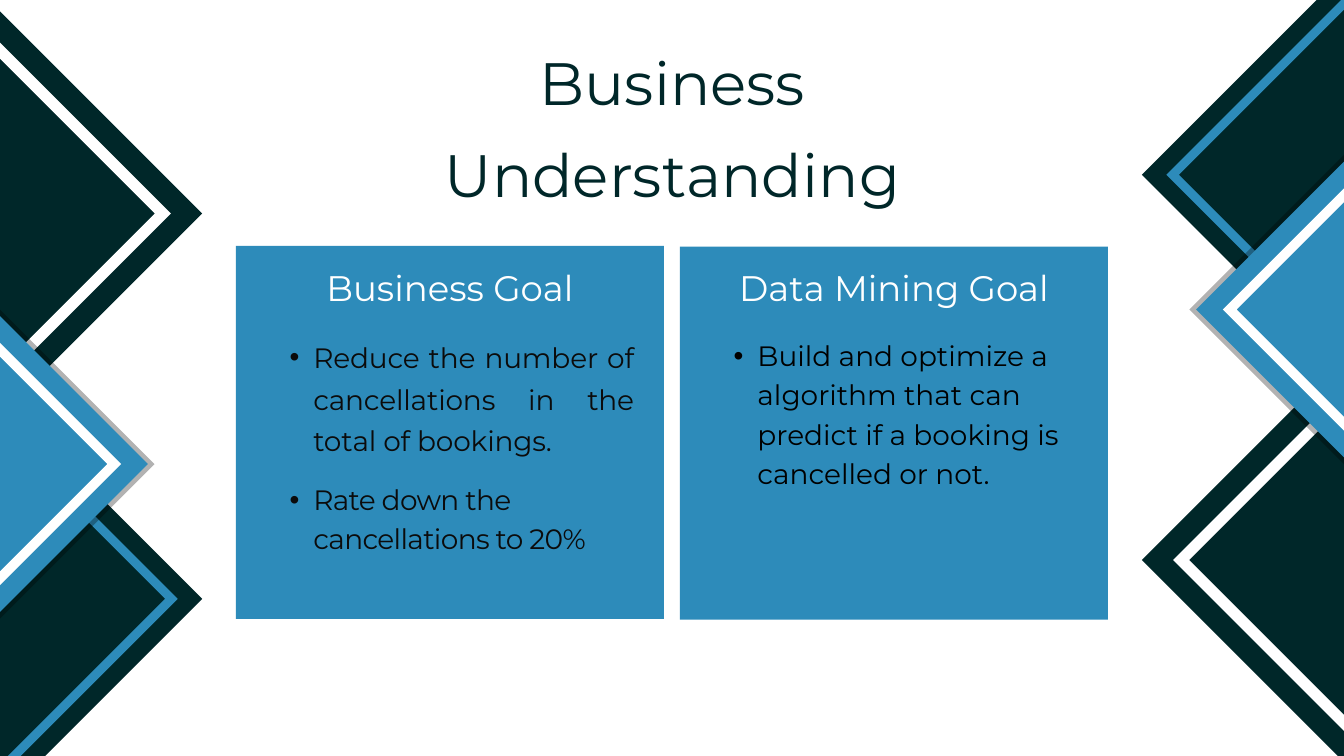
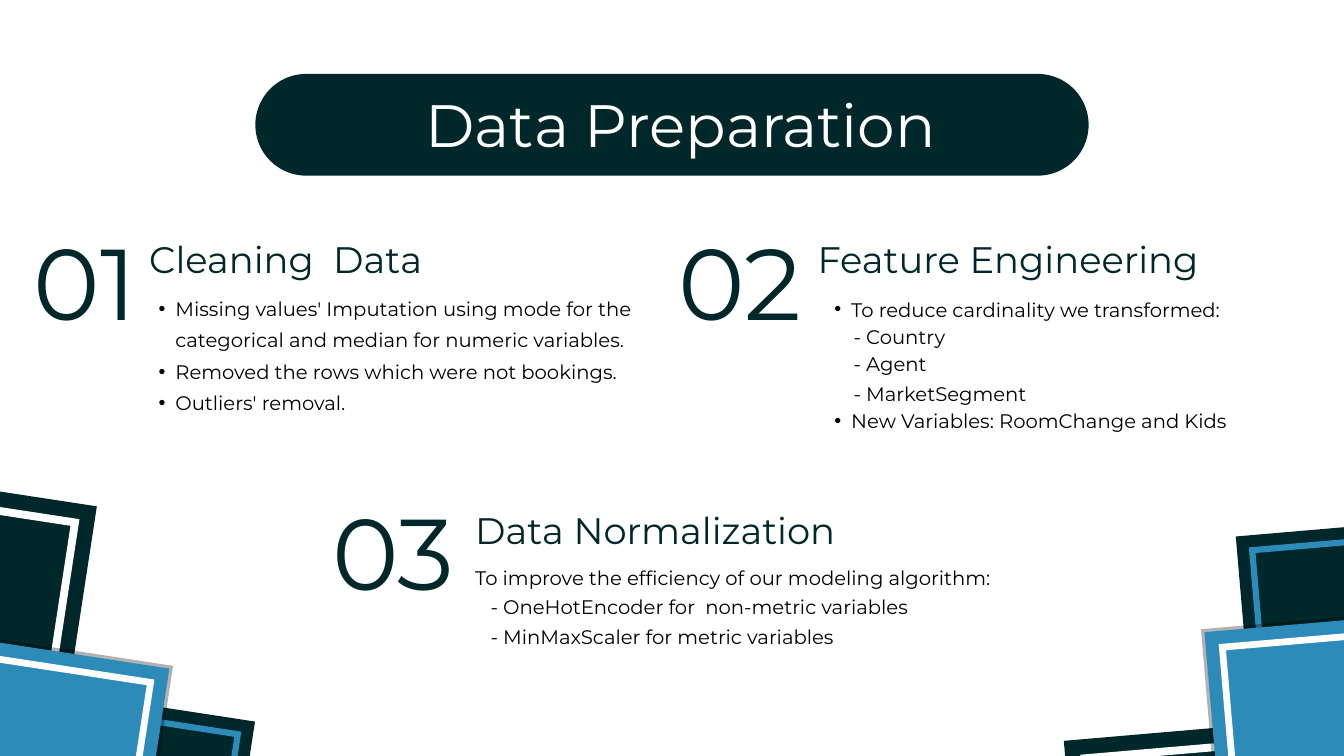
from dataclasses import dataclass
from math import cos, radians, sin

from lxml.etree import SubElement
from pptx import Presentation
from pptx.dml.color import RGBColor
from pptx.enum.shapes import MSO_SHAPE as SHAPE
from pptx.enum.text import MSO_ANCHOR, PP_ALIGN as ALIGN
from pptx.oxml.ns import qn
from pptx.util import Pt


@dataclass(frozen=True)
class Theme:
    """Colours, font and type sizes shared by the slides."""
    dark: str = "002729"
    blue: str = "2D8BBA"
    white: str = "FFFFFF"
    black: str = "000000"
    ink: str = "0B0B0B"
    font: str = "Montserrat"
    title: float = 64
    number: float = 107.7
    section: float = 39.5
    card_title: float = 38
    card_body: float = 30
    body: float = 21


@dataclass(frozen=True)
class Para:
    """One paragraph: its text, line height and layout."""
    text: str
    leading: float
    margin: float = 0
    hang: float = 0
    before: float = 0
    tracking: float = 0
    align: ALIGN = ALIGN.LEFT


T = Theme()
FRAME_RATIO = 0.891
FRAME_WIDTH = 0.0315


def add_shape(slide, kind, x, y, w, h, fill, rotation=0, alpha=None):
    """Add a flat filled shape without outline or shadow."""
    sp = slide.shapes.add_shape(kind, Pt(x), Pt(y), Pt(w), Pt(h))
    sp.shadow.inherit = False
    sp.line.fill.background()
    sp.fill.solid()
    sp.fill.fore_color.rgb = RGBColor.from_string(fill)
    sp.rotation = rotation % 360
    if alpha is not None:
        clr = sp._element.spPr.find(qn("a:solidFill"))[0]
        SubElement(clr, qn("a:alpha"), val=str(alpha * 1000))
    return sp


def add_text(slide, x, y, w, h, paras, size, color):
    """Add a text box without insets; a hanging paragraph gets a bullet."""
    tf = slide.shapes.add_textbox(Pt(x), Pt(y), Pt(w), Pt(h)).text_frame
    tf.word_wrap = True
    tf.vertical_anchor = MSO_ANCHOR.TOP
    tf.margin_left = tf.margin_right = tf.margin_top = tf.margin_bottom = 0
    for i, para in enumerate(paras):
        p = tf.add_paragraph() if i else tf.paragraphs[0]
        p.alignment = para.align
        p.line_spacing = Pt(para.leading)
        p.space_before = Pt(para.before)
        pPr = p._p.get_or_add_pPr()
        pPr.set("marL", str(Pt(para.margin)))
        pPr.set("indent", str(Pt(-para.hang)))
        if para.hang:
            p.level = 1
            SubElement(pPr, qn("a:buFont"), typeface="Arial")
            SubElement(pPr, qn("a:buChar"), char="•")
        r = p.add_run()
        r.text = para.text
        r.font.name = T.font
        r.font.size = Pt(size)
        r.font.color.rgb = RGBColor.from_string(color)
        if para.tracking:
            r._r.get_or_add_rPr().set("spc", str(round(para.tracking * 100)))


def tile_cluster(slide, cx, cy, angle, scale=1):
    """Draw three overlapping framed squares, turned about the blue one."""
    c, s = cos(radians(angle)), sin(radians(angle))

    def square(kind, dx, dy, side, fill, turn=0, alpha=None):
        """Place one square at an offset in the cluster's own axes."""
        side *= scale
        x = cx + scale * (dx * c - dy * s) - side / 2
        y = cy + scale * (dx * s + dy * c) - side / 2
        return add_shape(slide, kind, x, y, side, side, fill, angle + turn, alpha)

    def framed(dx, dy, side, fill, frame):
        """Place a square with a thin inner frame."""
        square(SHAPE.RECTANGLE, dx, dy, side, fill)
        sp = square(SHAPE.FRAME, dx, dy, side * FRAME_RATIO, frame, 90)
        sp.adjustments[0] = FRAME_WIDTH

    framed(-199.5, 180.2, 434, T.dark, T.white)
    framed(45.4, -158.8, 340, T.dark, T.blue)
    square(SHAPE.RECTANGLE, -5.1, -5.1, 371, T.black, alpha=30)
    framed(0, 0, 371, T.blue, T.white)


def goal_card(slide, x, y, w, h, title, paras, color):
    """Draw a blue card with a centred title and a bulleted body."""
    pad = 32
    add_shape(slide, SHAPE.RECTANGLE, x, y, w, h, T.blue)
    add_text(slide, x + pad, y + 23, w - 2 * pad, 47,
             [Para(title, 43.7, align=ALIGN.CENTER)], T.card_title, T.white)
    add_text(slide, x + pad, y + 92.5, w - 2 * pad, 237, paras, T.card_body, color)


def numbered_section(slide, x, y, w, number, number_w, title, paras,
                     gap=17, body_dx=0, body_dy=96):
    """Draw a big number with a heading and body to its right."""
    left = x + number_w + gap
    width = w - number_w - gap
    add_text(slide, x, y, number_w, 151,
             [Para(number, 150.8, align=ALIGN.RIGHT)], T.number, T.dark)
    add_text(slide, left, y + 32, width, 56, [Para(title, 55.3)], T.section, T.dark)
    add_text(slide, left + body_dx, y + body_dy, width, 160, paras, T.body, T.black)


def understanding_slide(prs):
    """Build the slide with the two goal cards."""
    slide = prs.slides.add_slide(prs.slide_layouts[6])
    tile_cluster(slide, 1544, 331.6, -45)
    tile_cluster(slide, -104, 497.2, 135)
    add_text(slide, 306, 52.6, 828.7, 178,
             [Para("Business", 73.6, align=ALIGN.CENTER),
              Para("Understanding", 73.6, before=25, align=ALIGN.CENTER)],
             T.title, T.dark)
    bullet = dict(margin=51, hang=25.5)
    goal_card(slide, 252.7, 263.5, 458.6, 399.6, "Business Goal", [
        Para("Reduce the number of cancellations in the total of bookings.", 44.7,
             tracking=-0.2, align=ALIGN.JUSTIFY, **bullet),
        Para("Rate down the cancellations to 20%", 42, before=21,
             tracking=-0.7, **bullet)], T.ink)
    goal_card(slide, 728.6, 264.3, 458.6, 399.6, "Data Mining Goal", [
        Para("Build and optimize a algorithm that can predict if a booking is "
             "cancelled or not.", 42, **bullet)], T.black)


def preparation_slide(prs):
    """Build the slide with the three numbered sections."""
    slide = prs.slides.add_slide(prs.slide_layouts[6])
    tile_cluster(slide, 1429.6, 794.5, -4.9, 0.693)
    tile_cluster(slide, 34.9, 824, 98.7, 0.693)
    pill = add_shape(slide, SHAPE.ROUNDED_RECTANGLE, 273.6, 79.2, 892.8, 109, T.dark)
    pill.adjustments[0] = 0.5
    add_text(slide, 290.2, 81.4, 877.7, 90.7,
             [Para("Data Preparation", 89.6, align=ALIGN.CENTER)], T.title, T.white)
    bullet = dict(margin=36, hang=18)
    numbered_section(slide, 18.7, 213.8, 671, "01", 127.4, "Cleaning  Data", [
        Para(text, 33.6, **bullet) for text in (
            "Missing values' Imputation using mode for the categorical and "
            "median for numeric variables.",
            "Removed the rows which were not bookings.",
            "Outliers' removal.")], gap=13.7, body_dx=-7.9)
    numbered_section(slide, 694, 213.8, 710, "02", 165, "Feature Engineering", [
        Para("To reduce cardinality we transformed:", 29.4, **bullet),
        Para("- Country", 29.4, margin=38.5),
        Para("- Agent", 29.4, margin=38.5),
        Para("- MarketSegment", 31.3, margin=38.5),
        Para("New Variables: RoomChange and Kids", 29.4, **bullet)],
        body_dy=100.8)
    numbered_section(slide, 321.8, 503.5, 783, "03", 165, "Data Normalization", [
        Para("To improve the efficiency of our modeling algorithm:", 31.7),
        Para("- OneHotEncoder for  non-metric variables", 31.7, margin=16.5),
        Para("- MinMaxScaler for metric variables", 31.7, margin=16.5)], gap=22.3)


prs = Presentation()
prs.slide_width, prs.slide_height = Pt(1440), Pt(810)
understanding_slide(prs)
preparation_slide(prs)
prs.save("out.pptx")
